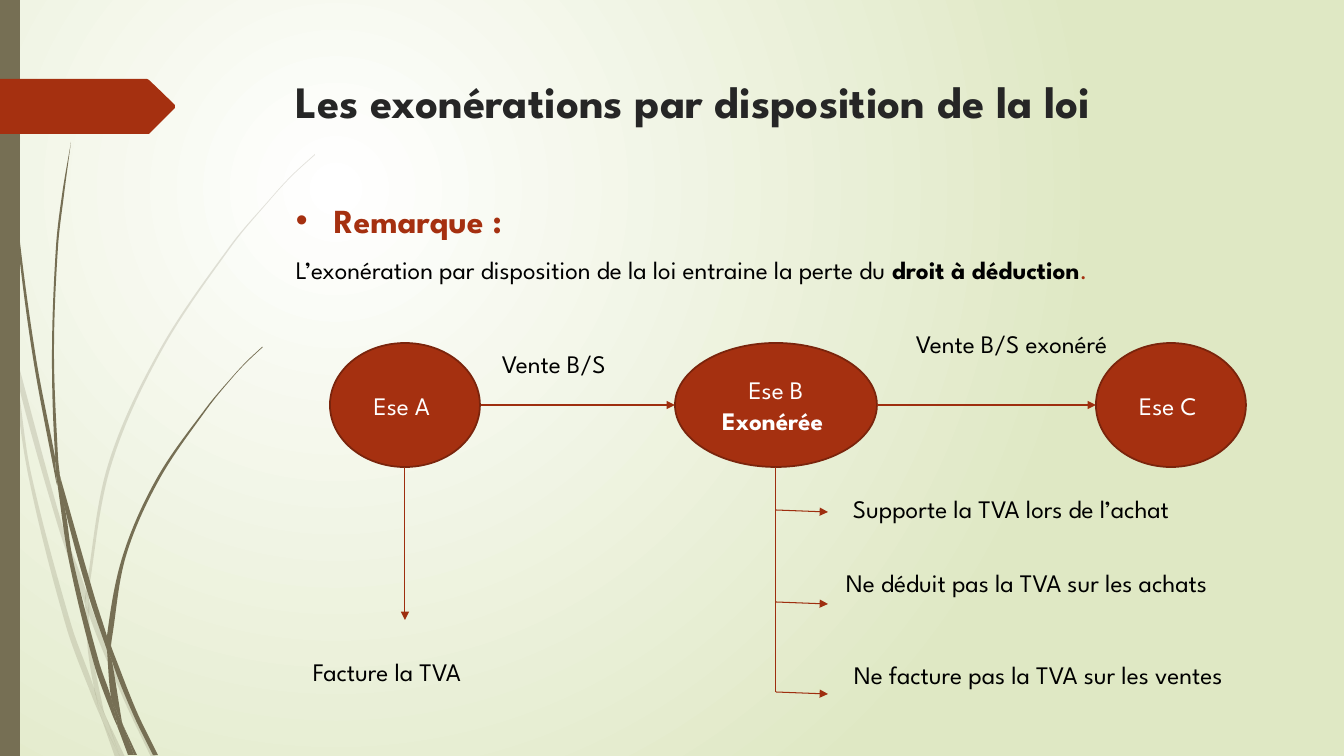
from math import hypot

from lxml.etree import SubElement
from pptx import Presentation
from pptx.dml.color import RGBColor
from pptx.enum.shapes import MSO_CONNECTOR, MSO_SHAPE
from pptx.enum.text import MSO_ANCHOR, PP_ALIGN
from pptx.oxml.ns import qn
from pptx.util import Pt

SCALE = 914400 / 100.8
FONT = "League Spartan"
RED, RIM, RULE, OLIVE = "A53010", "7A240C", "9E2E0F", "766F54"
BLACK, WHITE, DARK, GREEN = "000000", "FFFFFF", "262626", "DFE8C4"

# Corner points of the parts of each tuft of grass
PALE = """
11,353 9,325 0,284 0,301 10,347
58,526 85,604 86,591 62,524 14,348 17,379
93,612 89,601 89,615 124,700 151,757 156,757 128,698
120,757 125,757 106,717
94,688 71,624 31,473 17,379 11,353 28,474 66,626 93,699 102,720 100,713
85,604 88,651 94,688 97,698 106,717 104,712 92,651 89,615 89,613
89,589 111,466 161,352 231,247 270,200 292,176 315,155 315,154 291,176 270,199 230,246 159,351 108,465 86,589 86,591 89,601
102,720 115,757 120,757
89,613 89,615 89,601 86,591 85,604
97,698 94,688 100,713 102,720 120,757 106,717"""
DEEP = """
7,111 17,235 33,358 56,481 57,485 55,461 55,457 36,358 19,234 8,110 5,48 4,0 3,0 4,48
89,597 107,650 107,638 107,636 94,595 60,476 65,509
114,654 111,646 112,661 133,714 153,755 158,755 137,712
111,697 99,662 73,560 65,509 57,481 69,561 94,664 112,714 118,728 117,723
60,476 58,457 54,352 58,247 64,195 71,142 62,195 56,247 52,352 55,453
134,755 137,755 123,725
57,481 65,509 60,476 55,453 55,457
112,638 126,556 159,480 207,409 233,377 247,362 263,347 262,347 247,361 233,376 206,408 157,478 123,555 107,636 111,646
118,728 128,755 132,755
107,650 111,697 117,712 123,725 122,722 112,661 110,656
107,650 110,656 112,661 111,646 107,636
117,712 111,697 117,723 118,728 131,755 134,755 123,725"""
TAG = "0,79 147,79 149,80 175,105 175,108 149,134 147,134 0,134"


def px(n):
    """Turn pixels into EMU."""
    return round(n * SCALE)


def rgb(code):
    """Turn a hex string into a colour."""
    return RGBColor.from_string(code)


def paint(shape, fill, rim=None, clear=None):
    """Fill a shape, with an outline or opacity in percent if given."""
    shape.shadow.inherit = False
    shape.fill.solid()
    shape.fill.fore_color.rgb = rgb(fill)
    if rim:
        shape.line.color.rgb = rgb(rim)
        shape.line.width = Pt(1.25)
    else:
        shape.line.fill.background()
    if clear:
        tone = shape._element.spPr.find(".//" + qn("a:srgbClr"))
        SubElement(tone, qn("a:alpha")).set("val", str(clear * 1000))


def write(par, text, color=BLACK, **form):
    """Add a run with its font values."""
    run = par.add_run()
    run.text = text
    for key, value in {"name": FONT, "size": Pt(18), "bold": False, **form}.items():
        setattr(run.font, key, value)
    run.font.color.rgb = rgb(color)


def label(slide, box, text=None):
    """Add a wrapping text box and return its frame."""
    frame = slide.shapes.add_textbox(*map(px, box)).text_frame
    frame.word_wrap = True
    if text:
        write(frame.paragraphs[0], text)
    return frame


def oval(slide, left, width, lines):
    """Add a company ellipse; lines after the first are bold."""
    shape = slide.shapes.add_shape(MSO_SHAPE.OVAL, *map(px, (left, 343, width, 124)))
    paint(shape, RED, RIM)
    frame = shape.text_frame
    frame.vertical_anchor = MSO_ANCHOR.MIDDLE
    for i, text in enumerate(lines):
        par = frame.add_paragraph() if i else frame.paragraphs[0]
        par.alignment = PP_ALIGN.CENTER
        write(par, text, WHITE, bold=i > 0)


def link(slide, ends, head=True):
    """Add a thin line, with an arrowhead unless told otherwise."""
    line = slide.shapes.add_connector(MSO_CONNECTOR.STRAIGHT, *map(px, ends))
    line.line.color.rgb = rgb(RULE)
    line.line.width = Pt(0.75)
    if head:
        SubElement(line.line._get_or_add_ln(), qn("a:tailEnd")).set("type", "triangle")
    SubElement(line._element.spPr, qn("a:effectLst"))


def unit(a, b):
    """Give the direction from a to b."""
    span = hypot(b[0] - a[0], b[1] - a[1])
    return (b[0] - a[0]) / span, (b[1] - a[1]) / span


def handle(a, b, before, after):
    """Place the curve handle at a towards b; sharp corners stay sharp."""
    here, other = unit(a, b), unit(before, a)
    third = hypot(b[0] - a[0], b[1] - a[1]) / 3
    if here[0] * other[0] + here[1] * other[1] > 0.8:
        here = unit(before, after)
    return a[0] + here[0] * third, a[1] + here[1] * third


def outline(slide, row, fill, clear=None):
    """Draw a closed outline that bends smoothly through its points."""
    spots = [tuple(px(int(n)) for n in pair.split(",")) for pair in row.split()]
    count = len(spots)
    form = slide.shapes.build_freeform(*spots[0])
    form.add_line_segments(spots[1:] + spots[:1], close=True)
    shape = form.convert_to_shape()
    left, top = (min(axis) for axis in zip(*spots))
    for i, step in enumerate(list(shape._element.iter(qn("a:lnTo")))):
        a, b, c, d = (spots[(i + k) % count] for k in (-1, 0, 1, 2))
        step.tag = qn("a:cubicBezTo")
        for k, (x, y) in enumerate((handle(b, c, a, c), handle(c, b, d, b))):
            spot = step.makeelement(qn("a:pt"))
            spot.set("x", str(round(x - left)))
            spot.set("y", str(round(y - top)))
            step.insert(k, spot)
    paint(shape, fill, clear=clear)


def backdrop(slide):
    """Set the round gradient, the grass, the side bar and the red tag."""
    fill = slide.background.fill
    fill.gradient()
    for stop, (place, tone) in zip(fill.gradient_stops, ((0, WHITE), (1, GREEN))):
        stop.position = place
        stop.color.rgb = rgb(tone)
    grad = slide._element.find(".//" + qn("a:gradFill"))
    grad.remove(grad.find(qn("a:lin")))
    ring = SubElement(grad, qn("a:path"))
    ring.set("path", "circle")
    rect = SubElement(ring, qn("a:fillToRect"))
    for side, value in zip("ltrb", (50, 50, 100, 100)):
        rect.set(side, str(value * 1000))
    for tuft, clear in ((PALE, 20), (DEEP, None)):
        for row in tuft.strip().splitlines():
            outline(slide, row, OLIVE, clear)
    bar = slide.shapes.add_shape(MSO_SHAPE.RECTANGLE, *map(px, (0, 0, 20, 756)))
    paint(bar, OLIVE)
    outline(slide, TAG, RED)


def heading(slide):
    """Place and format the title."""
    title = slide.shapes.title
    for key, value in zip(("left", "top", "width", "height"), (285, 69, 983, 105)):
        setattr(title, key, px(value))
    frame = title.text_frame
    frame.vertical_anchor = MSO_ANCHOR.TOP
    par = frame.paragraphs[0]
    par.alignment = PP_ALIGN.LEFT
    write(par, "Les exonérations par disposition de la loi", DARK, size=Pt(32), bold=True)


def remark(slide):
    """Write the bulleted remark and its sentence."""
    frame = label(slide, (286, 195, 983, 457))
    first, second = frame.paragraphs[0], frame.add_paragraph()
    first.space_before = second.space_before = Pt(10)
    props = first._p.get_or_add_pPr()
    props.set("marL", str(px(38)))
    props.set("indent", str(px(-38)))
    SubElement(SubElement(props, qn("a:buClr")), qn("a:srgbClr")).set("val", RED)
    SubElement(props, qn("a:buFont")).set("typeface", "Arial")
    SubElement(props, qn("a:buChar")).set("char", "•")
    write(first, "Remarque :", RED, size=Pt(24), bold=True)
    write(second, "L’exonération par disposition de la loi entraine la perte du ")
    write(second, "droit à déduction", bold=True)
    write(second, ".", RED)


def main():
    """Build the slide and save it."""
    deck = Presentation()
    deck.slide_width, deck.slide_height = px(1344), px(756)
    slide = deck.slides.add_slide(deck.slide_layouts[5])
    backdrop(slide)
    heading(slide)
    remark(slide)
    for left, width, lines in ((330, 150, ["Ese A "]), (675, 202, ["Ese B", "Exonérée "]),
                               (1096, 150, ["Ese C "])):
        oval(slide, left, width, lines)
    for ends in ((481, 405, 675, 405), (877, 405, 1096, 405), (405, 467, 405, 620)):
        link(slide, ends)
    link(slide, (776, 467, 776, 692), head=False)
    for y in (510, 602, 692):
        link(slide, (776, y, 828, y + 2))
    for box, text in (((492, 343, 195, 40), "Vente B/S"),
                      ((906, 323, 219, 72), "Vente B/S exonéré"),
                      ((303, 651, 223, 40), "Facture la TVA "),
                      ((843, 488, 403, 40), "Supporte la TVA lors de l’achat"),
                      ((836, 562, 403, 72), "Ne déduit pas la TVA sur les achats"),
                      ((844, 654, 403, 72), "Ne facture pas la TVA sur les ventes")):
        label(slide, box, text)
    deck.save("out.pptx")


main()
